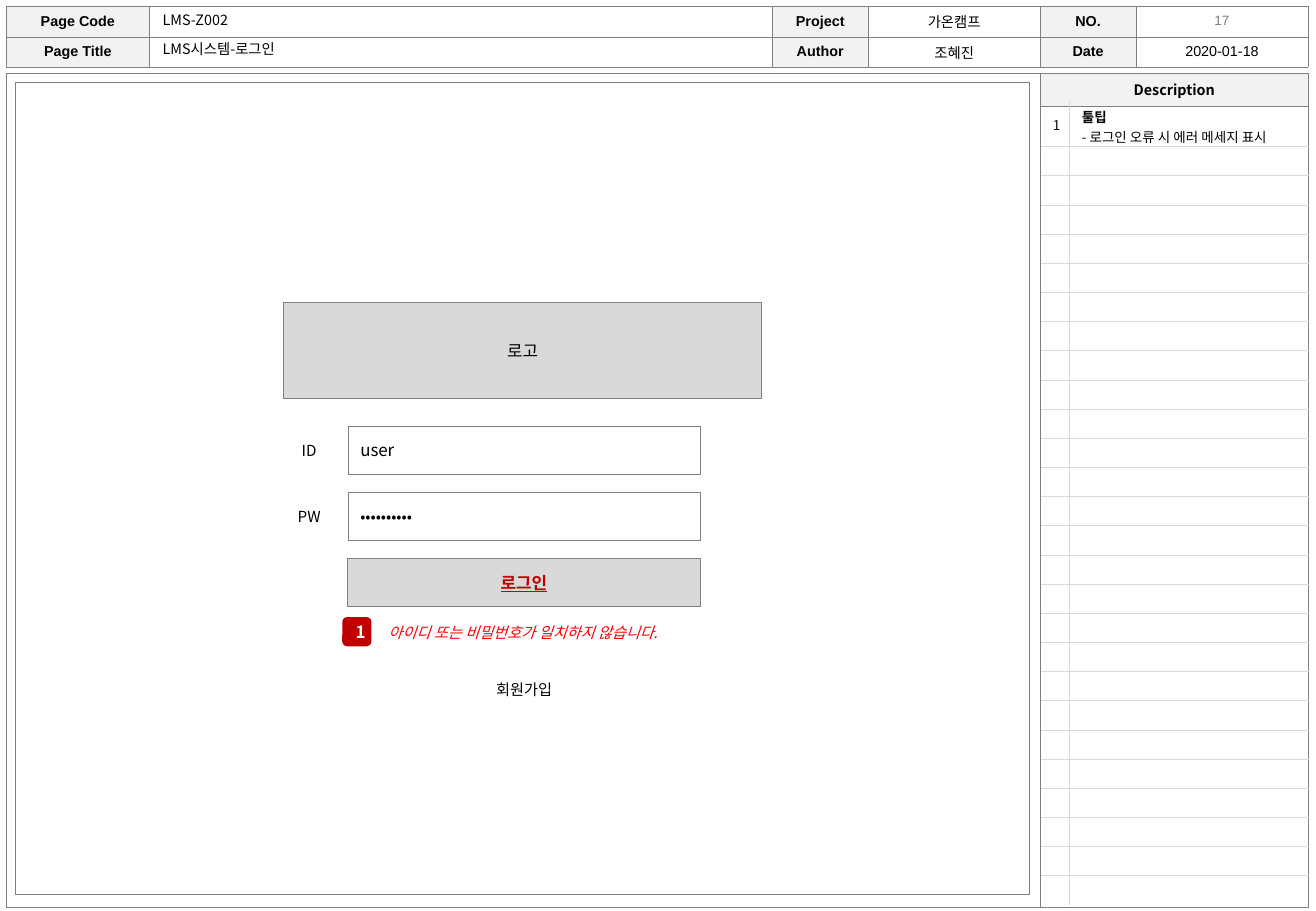
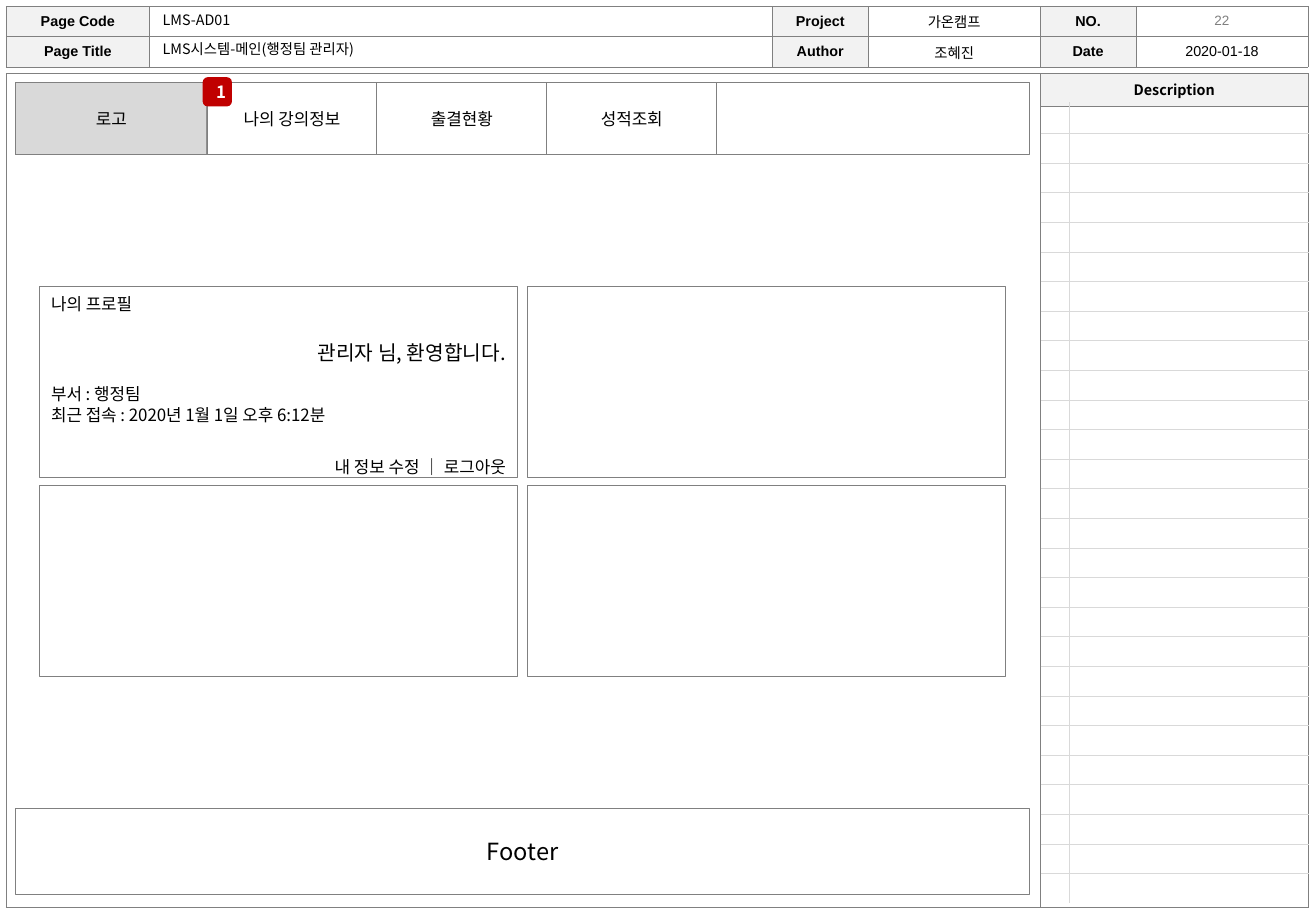
from dataclasses import dataclass, replace
from typing import Optional

from lxml import etree
from pptx import Presentation
from pptx import util as u
from pptx.dml.color import RGBColor
from pptx.enum import shapes, text
from pptx.oxml.ns import qn

Pt = u.Pt
COLORS = {"ink": "000000", "white": "FFFFFF", "label": "F2F2F2", "block": "D9D9D9",
          "border": "808080", "grid": "D9D9D9", "number": "7F7F7F",
          "accent": "C00000", "error": "FF0000"}
SANS, ARIAL = "Noto Sans CJK KR", "Arial"
ALIGN = {"l": text.PP_ALIGN.LEFT, "c": text.PP_ALIGN.CENTER, "r": text.PP_ALIGN.RIGHT}
PLAIN_TABLE = "{2D5ABB26-0587-4C30-8999-92F81FD0307C}"
TIGHT = 1.27  # line height of the profile text, in font sizes


@dataclass(frozen=True)
class Para:
    """One paragraph and its look."""
    text: str = ""
    size: float = 10
    align: str = "c"
    color: str = "ink"
    font: str = SANS
    bold: bool = False
    italic: bool = False
    underline: bool = False
    before: float = 0
    tight: bool = False


@dataclass(frozen=True)
class Box:
    """A filled shape with optional outline and text."""
    left: float
    top: float
    width: float
    height: float
    paras: tuple[Para, ...] = ()
    fill: str = "white"
    line: Optional[float] = 0.5
    rounded: bool = False
    anchor_top: bool = False


@dataclass(frozen=True)
class Cell:
    """A table cell; sides names the borders that are drawn."""
    paras: tuple[Para, ...] = (Para(size=6),)
    fill: Optional[str] = None
    sides: str = "LRTB"
    margins: tuple[float, float, float, float] = (7.2, 3.6, 7.2, 3.6)
    middle: bool = True


def rgb(name: str) -> RGBColor:
    """Look a colour up by name."""
    return RGBColor.from_string(COLORS[name])


def write(tf, paras: tuple[Para, ...]) -> None:
    """Fill a text frame with paragraphs."""
    for i, para in enumerate(paras):
        p = tf.add_paragraph() if i else tf.paragraphs[0]
        p.text, p.alignment = para.text, ALIGN[para.align]
        if para.before:
            p.space_before = Pt(para.before)
        if para.tight:
            p.line_spacing = Pt(para.size * TIGHT)
        font = p.font
        font.size, font.name, font.color.rgb = Pt(para.size), para.font, rgb(para.color)
        font.bold, font.italic, font.underline = para.bold, para.italic, para.underline
        latin = p._p.pPr.find(qn("a:defRPr")).find(qn("a:latin"))
        east_asian = etree.Element(qn("a:ea"), typeface=SANS)
        latin.addnext(east_asian)


def add_box(s, box: Box) -> None:
    """Draw one box."""
    kind = shapes.MSO_SHAPE.ROUNDED_RECTANGLE if box.rounded else shapes.MSO_SHAPE.RECTANGLE
    sp = s.shapes.add_shape(kind, Pt(box.left), Pt(box.top), Pt(box.width), Pt(box.height))
    sp.shadow.inherit = False
    sp.fill.solid()
    sp.fill.fore_color.rgb = rgb(box.fill)
    if box.line is None:
        sp.line.fill.background()
    else:
        sp.line.color.rgb, sp.line.width = rgb("border"), Pt(box.line)
    tf = sp.text_frame
    tf.word_wrap = True
    tf.vertical_anchor = text.MSO_ANCHOR.TOP if box.anchor_top else text.MSO_ANCHOR.MIDDLE
    write(tf, box.paras)


def add_text(s, left: float, top: float, width: float, height: float, *paras: Para) -> None:
    """Add a wrapping text box."""
    tf = s.shapes.add_textbox(Pt(left), Pt(top), Pt(width), Pt(height)).text_frame
    tf.word_wrap, tf.auto_size = True, text.MSO_AUTO_SIZE.SHAPE_TO_FIT_TEXT
    write(tf, paras)


def set_borders(cell, sides: str, color: str, width: float) -> None:
    """Draw the named sides of a cell and clear the others."""
    tc_pr = cell._tc.get_or_add_tcPr()
    for i, side in enumerate("LRTB"):
        ln = etree.Element(qn(f"a:ln{side}"), w=str(Pt(width)))
        if side in sides:
            fill = etree.SubElement(ln, qn("a:solidFill"))
            etree.SubElement(fill, qn("a:srgbClr"), val=COLORS[color])
        else:
            etree.SubElement(ln, qn("a:noFill"))
        tc_pr.insert(i, ln)


def add_grid(s, left: float, top: float, cols: list[float], rows: list[float],
             cells: list[list[Cell]], color: str, width: float) -> None:
    """Draw a table from rows of cells."""
    frame = s.shapes.add_table(len(rows), len(cols), Pt(left), Pt(top),
                               Pt(sum(cols)), Pt(sum(rows)))
    table = frame.table
    table.first_row = table.horz_banding = False
    table._tbl.tblPr.find(qn("a:tableStyleId")).text = PLAIN_TABLE
    for column, size in zip(table.columns, cols):
        column.width = Pt(size)
    for row, size, items in zip(table.rows, rows, cells):
        row.height = Pt(size)
        for cell, item in zip(row.cells, items):
            (cell.margin_left, cell.margin_top,
             cell.margin_right, cell.margin_bottom) = map(Pt, item.margins)
            if item.middle:
                cell.vertical_anchor = text.MSO_ANCHOR.MIDDLE
            if item.fill:
                cell.fill.solid()
                cell.fill.fore_color.rgb = rgb(item.fill)
            else:
                cell.fill.background()
            write(cell.text_frame, item.paras)
            set_borders(cell, item.sides, color, width)


def head_cell(value: str, label: bool) -> Cell:
    """Make a cell of the page header: label or value."""
    if not value:
        return Cell()
    return Cell((Para(value, 8.5, font=ARIAL, bold=label),), "label" if label else None,
                margins=(2.9,) * 4)


def add_page(prs, code: str, title: str, number: int):
    """Add a slide with the page frame and the header table."""
    s = prs.slides.add_slide(prs.slide_layouts[6])
    heading = Cell((Para("Description", 8.5, bold=True),), "label", middle=False)
    add_grid(s, 3.6, 43.4, [613, 158.8], [19.5, 475],
             [[Cell(sides="LTR"), heading], [Cell(sides="LRB"), Cell()]], "border", 0.25)
    values = [["Page Code", "", "Project", "가온캠프", "NO.", ""],
              ["Page Title", "", "Author", "조혜진", "Date", "2020-01-18"]]
    add_grid(s, 3.6, 3.7, [85.1, 369.2] + [56.6, 102.2] * 2, [18, 18],
             [[head_cell(v, i % 2 == 0) for i, v in enumerate(row)] for row in values],
             "border", 0.25)
    add_text(s, 673.2, 3.6, 102.2, 17.3, Para(str(number), 8, color="number", font=ARIAL))
    for top, value in ((2.9, code), (20.2, title)):
        add_text(s, 89.3, top, 368.6, 17.3, Para(value, 8.5, "l"))
    return s


def add_descriptions(s, first: float, pitch: float,
                     mark: Optional[Para] = None, note: tuple[Para, ...] = ()) -> None:
    """Add the ruled description list, with an optional first entry."""
    count = 27
    cells = [[Cell(sides="RTB"), Cell(sides="LTB")] for _ in range(count)]
    cells[0] = [Cell(sides="RB"), Cell(sides="LB")]
    cells[-1] = [Cell(sides="RT"), Cell(sides="LT")]
    if mark:
        cells[0] = [replace(cells[0][0], paras=(mark,)),
                    replace(cells[0][1], paras=note, margins=(7.2, 2.9, 7.2, 0))]
    add_grid(s, 616.8, 60.5, [17, 141.6], [first] + [pitch] * (count - 1), cells, "grid", 0.5)


def add_badge(s, left: float, top: float) -> None:
    """Add the numbered marker."""
    add_box(s, Box(left, top, 17.3, 17.3, (Para("1", color="white", bold=True),),
                   "accent", None, True))


def add_login(prs) -> None:
    """Build the login page."""
    s = add_page(prs, "LMS-Z002", "LMS시스템-로그인", 17)
    add_box(s, Box(9.2, 48.9, 601, 481.2))
    add_descriptions(s, 26.4, 17.3, Para("1", 8),
                     (Para("툴팁", 8, "l", bold=True),
                      Para("- 로그인 오류 시 에러 메세지 표시", 8, "l")))
    add_box(s, Box(168, 179.2, 283.6, 57, (Para("로고"),), "block"))
    fields = [("ID", Para("user", 10, "l")), ("PW", Para("•" * 10, 9, "l"))]
    for i, (label, value) in enumerate(fields):
        top = 252.7 + 39.2 * i
        add_box(s, Box(206.5, top, 208.8, 28.4, (value,)))
        add_box(s, Box(169.2, top, 28.1, 28.4, (Para(label, 9),), line=None))
    add_box(s, Box(205.9, 331.1, 209.2, 28.4,
                   (Para("로그인", color="accent", bold=True, underline=True),), "block"))
    add_box(s, Box(229, 394.6, 163.4, 28.1, (Para("회원가입", 9),), line=None))
    error = Para("아이디 또는 비밀번호가 일치하지 않습니다.", 9, color="error", italic=True)
    add_box(s, Box(196.6, 366.5, 226.8, 17.3, (error,), line=None))
    add_badge(s, 202.9, 365.8)


def add_main(prs) -> None:
    """Build the administrator's main page."""
    s = add_page(prs, "LMS-AD01", "LMS시스템-메인(행정팀 관리자)", 22)
    add_box(s, Box(9.2, 479, 601, 51, (Para("Footer", 14),)))
    add_descriptions(s, 18.7, 17.57)
    bar = Box(9.2, 48.9, 601, 42.5)
    add_box(s, bar)
    add_box(s, replace(bar, width=113.5, paras=(Para("로고"),), fill="block", line=0.75))
    tab = 100.7
    for i, name in enumerate(["나의 강의정보", "출결현황", "성적조회"]):
        add_box(s, replace(bar, left=122.7 + tab * i, width=tab, paras=(Para(name),)))
    add_badge(s, 120.2, 45.8)
    profile = (Para("나의 프로필", 10, "l", tight=True),
               Para("내 정보 수정 ｜ 로그아웃", 10, "r", before=83.8, tight=True))
    for i in range(4):
        row, col = divmod(i, 2)
        add_box(s, Box(23.2 + 289.4 * col, 169.7 + 118 * row, 283.6, 113.1,
                       () if i else profile, anchor_top=True))
    add_text(s, 23.2, 197.3, 283.6, 58.3,
             Para("관리자 님, 환영합니다.", 12, "r", tight=True),
             Para("부서 : 행정팀", 10, "l", before=10.4, tight=True),
             Para("최근 접속 : 2020년 1월 1일 오후 6:12분", 10, "l", tight=True))


def main() -> None:
    """Build and save the deck."""
    prs = Presentation()
    prs.slide_width, prs.slide_height = Pt(780), Pt(540)
    add_login(prs)
    add_main(prs)
    prs.save("out.pptx")


main()
